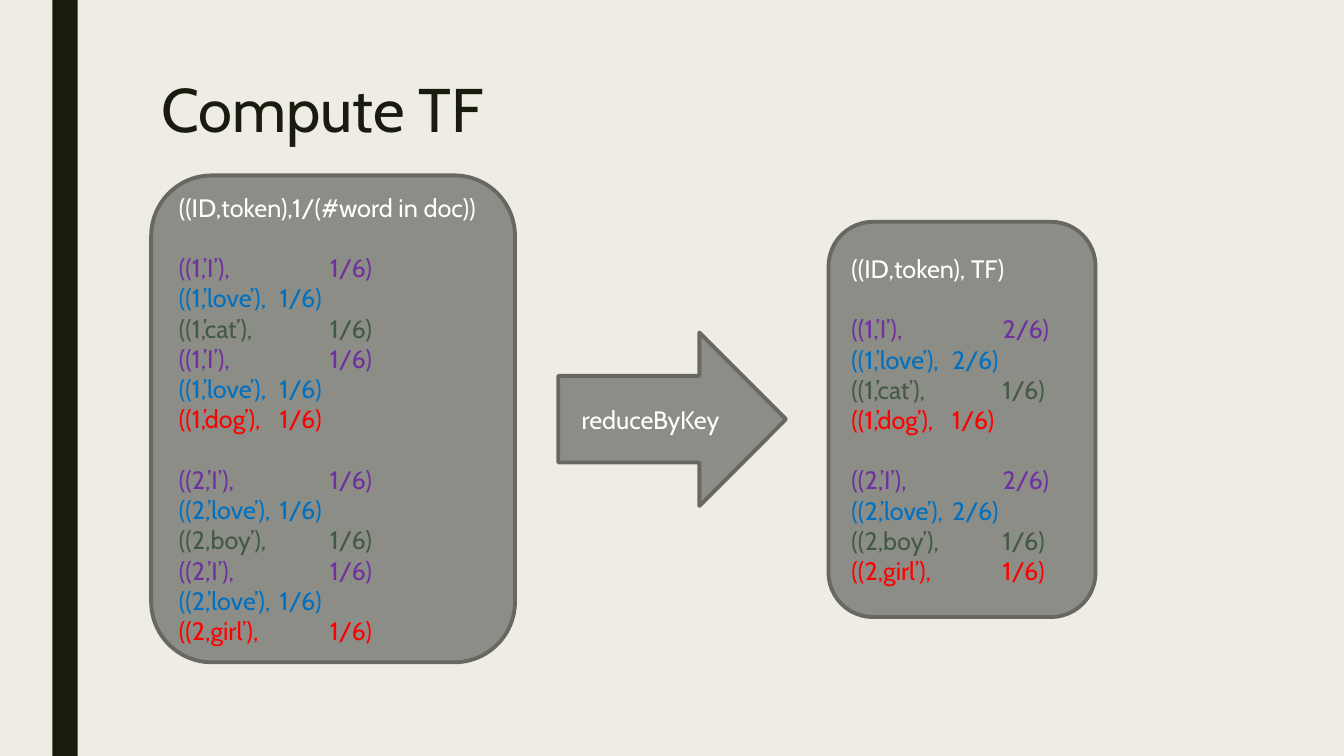
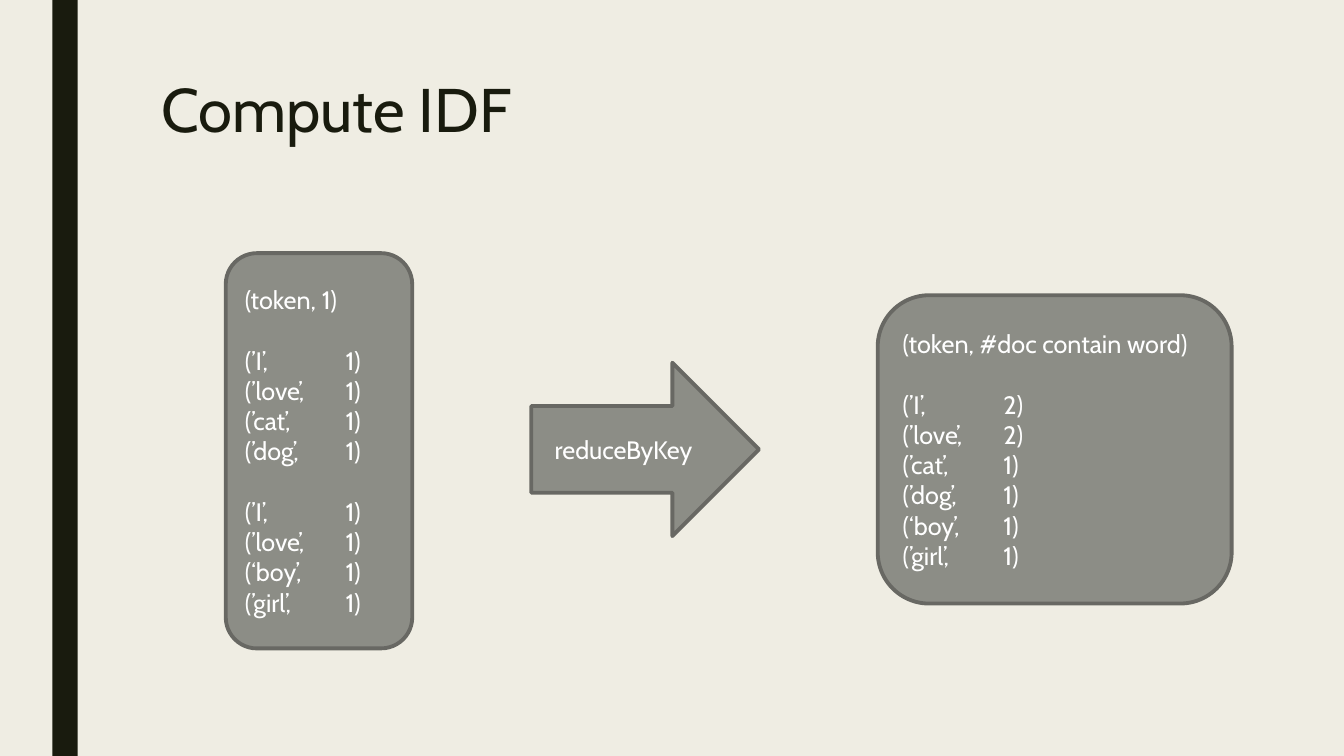
from lxml import etree
from pptx import Presentation
from pptx.dml.color import RGBColor
from pptx.enum import shapes, text
from pptx.oxml import ns
from pptx.util import Cm, Pt

CREAM = RGBColor(0xEF, 0xED, 0xE3)
DARK = RGBColor(0x19, 0x1B, 0x0E)
GRAY = RGBColor(0x8C, 0x8D, 0x86)
EDGE = RGBColor(0x68, 0x68, 0x63)
WHITE = RGBColor(0xFF, 0xFF, 0xFF)
PURPLE = RGBColor(0x70, 0x30, 0xA0)
BLUE = RGBColor(0x00, 0x70, 0xC0)
GREEN = RGBColor(0x42, 0x5A, 0x43)
RED = RGBColor(0xFF, 0x00, 0x00)

NEAR, FAR = Cm(2.54), Cm(3.81)
PLAIN = (WHITE, NEAR)
PRONOUN = (PURPLE, FAR)
VERB = (BLUE, NEAR)
NOUN = (GREEN, FAR)
DOG = (RED, NEAR)
GIRL = (RED, FAR)


class Deck:
    font = "Cabin"
    body_size = Pt(18)
    group_gap = Pt(21.6)

    def __init__(self):
        self.prs = Presentation()
        self.prs.slide_width = Cm(33.87)
        self.prs.slide_height = Cm(19.05)
        self.s = None

    def slide(self, title):
        self.s = self.prs.slides.add_slide(self.prs.slide_layouts[6])
        fill = self.s.background.fill
        fill.solid()
        fill.fore_color.rgb = CREAM
        self.shape(shapes.MSO_SHAPE.RECTANGLE, 1.32, 0, 0.64, 19.05, DARK)
        tf = self.s.shapes.add_textbox(Cm(3.81), Cm(1.9), Cm(26.67), Cm(4.11)).text_frame
        tf.word_wrap = True
        p = tf.paragraphs[0]
        p.line_spacing = 0.89
        self.label(p, title, DARK, Pt(44))

    def label(self, p, words, color, size):
        p.text = words
        p.font.name = self.font
        p.font.size = size
        p.font.color.rgb = color

    def shape(self, kind, x, y, w, h, fill, edge=None):
        sp = self.s.shapes.add_shape(kind, Cm(x), Cm(y), Cm(w), Cm(h))
        sp.shadow.inherit = False
        sp.fill.solid()
        sp.fill.fore_color.rgb = fill
        if edge is None:
            sp.line.fill.background()
        else:
            sp.line.color.rgb = edge
            sp.line.width = Pt(2.75)
        tf = sp.text_frame
        tf.word_wrap = True
        tf.vertical_anchor = text.MSO_ANCHOR.MIDDLE
        return tf

    def arrow(self, x, y, words):
        tf = self.shape(shapes.MSO_SHAPE.RIGHT_ARROW, x, y, 5.74, 4.37, GRAY, EDGE)
        p = tf.paragraphs[0]
        p.alignment = text.PP_ALIGN.CENTER
        self.label(p, words, WHITE, self.body_size)

    def tab_stop(self, p, position):
        tabs = etree.SubElement(p._p.get_or_add_pPr(), ns.qn("a:tabLst"))
        etree.SubElement(tabs, ns.qn("a:tab"), pos=str(position), algn="l")

    def pairs(self, x, y, w, h, heading, *groups):
        tf = self.shape(shapes.MSO_SHAPE.ROUNDED_RECTANGLE, x, y, w, h, GRAY, EDGE)
        p = tf.paragraphs[0]
        p.alignment = text.PP_ALIGN.LEFT
        self.label(p, heading, WHITE, self.body_size)
        for group in groups:
            for i, (key, value, (color, stop)) in enumerate(group):
                p = tf.add_paragraph()
                p.alignment = text.PP_ALIGN.LEFT
                self.tab_stop(p, stop)
                if i == 0:
                    p.space_before = self.group_gap
                self.label(p, f"{key}, \t{value})", color, self.body_size)


def weigh(value, *tokens):
    return [(key, value, style) for key, style in tokens]


def count(value, *keys):
    return [(key, value, PLAIN) for key in keys]


deck = Deck()

deck.slide("Compute TF")
I1, LOVE1 = ("((1,’I’)", PRONOUN), ("((1,’love’)", VERB)
CAT1, DOG1 = ("((1,’cat’)", NOUN), ("((1,’dog’)", DOG)
I2, LOVE2 = ("((2,’I’)", PRONOUN), ("((2,’love’)", VERB)
BOY2, GIRL2 = ("((2,boy’)", NOUN), ("((2,girl’)", GIRL)
deck.pairs(3.81, 4.42, 9.17, 12.27, "((ID,token),1/(#word in doc))",
           weigh("1/6", I1, LOVE1, CAT1, I1, LOVE1, DOG1),
           weigh("1/6", I2, LOVE2, BOY2, I2, LOVE2, GIRL2))
deck.arrow(14.07, 8.38, "reduceByKey")
deck.pairs(20.88, 5.59, 6.73, 9.96, "((ID,token), TF)",
           weigh("2/6", I1, LOVE1) + weigh("1/6", CAT1, DOG1),
           weigh("2/6", I2, LOVE2) + weigh("1/6", BOY2, GIRL2))

deck.slide("Compute IDF")
SHARED = ("(’I’", "(’love’")
FIRST = ("(’cat’", "(’dog’")
SECOND = ("(‘boy’", "(’girl’")
deck.pairs(5.69, 6.38, 4.7, 9.96, "(token, 1)",
           count("1", *SHARED, *FIRST), count("1", *SHARED, *SECOND))
deck.arrow(13.39, 9.14, "reduceByKey")
deck.pairs(22.12, 7.44, 8.92, 7.77, "(token, #doc contain word)",
           count("2", *SHARED) + count("1", *FIRST, *SECOND))

deck.prs.save("out.pptx")
